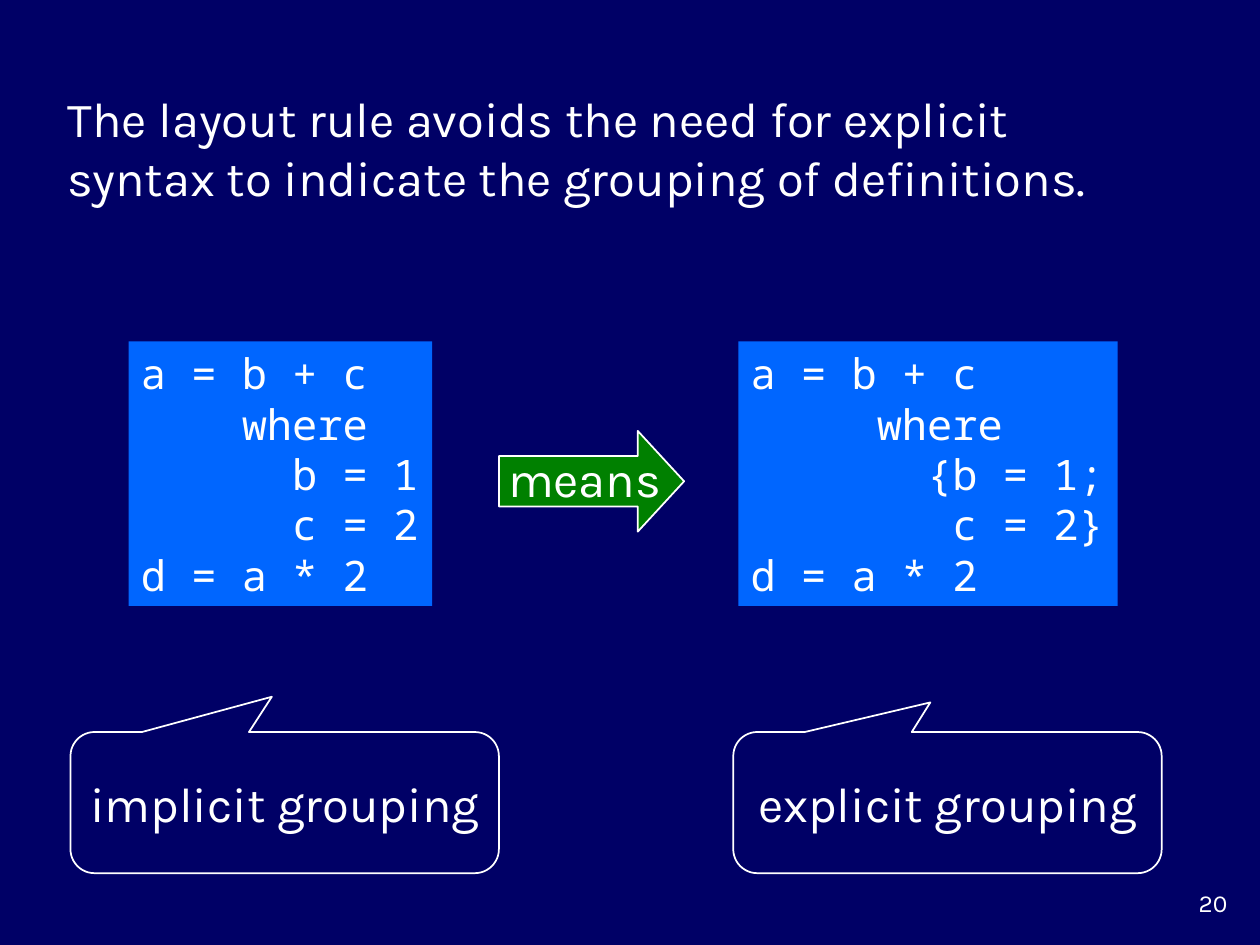
from pptx import Presentation
from pptx import util as u
from pptx.dml.color import RGBColor
from pptx.enum import shapes, text

COLOURS = {
    "background": "000066",
    "code": "0066FF",
    "arrow": "008000",
    "white": "FFFFFF",
}
BODY_FONT = "Karla"
CODE_FONT = "Noto Sans Mono"

# Leading spaces are part of the code: they carry the layout rule
IMPLICIT_CODE = [
    "a = b + c",
    "    where",
    "      b = 1",
    "      c = 2",
    "d = a * 2",
]
EXPLICIT_CODE = [
    "a = b + c",
    "     where",
    "       {b = 1;",
    "        c = 2}",
    "d = a * 2",
]


def colour(name):
    return RGBColor.from_string(COLOURS[name])


def write(box, lines, font=BODY_FONT, size=28, align=text.PP_ALIGN.LEFT,
          anchor=text.MSO_ANCHOR.MIDDLE, wrap=True):
    """Fill a box with one paragraph per line."""
    frame = box.text_frame
    frame.word_wrap = wrap
    frame.vertical_anchor = anchor
    for index, line in enumerate(lines):
        para = frame.add_paragraph() if index else frame.paragraphs[0]
        para.alignment = align
        span = para.add_run()
        span.text = line
        span.font.name = font
        span.font.size = u.Pt(size)
        span.font.color.rgb = colour("white")


def add_label(parent, area, words, **style):
    box = parent.shapes.add_textbox(*map(u.Inches, area))
    write(box, [words], **style)


def add_figure(parent, kind, area, fill=None, line=None, adjustments=()):
    figure = parent.shapes.add_shape(kind, *map(u.Inches, area))
    figure.shadow.inherit = False
    for index, value in enumerate(adjustments):
        figure.adjustments[index] = value
    if fill:
        figure.fill.solid()
        figure.fill.fore_color.rgb = colour(fill)
    else:
        figure.fill.background()
    if line:
        figure.line.color.rgb = colour(line)
        figure.line.width = u.Pt(1)
    else:
        figure.line.fill.background()
    return figure


def add_code(page, left, width, lines):
    box = add_figure(page, shapes.MSO_SHAPE.RECTANGLE,
                     (left, 2.71, width, 2.1), fill="code")
    write(box, lines, font=CODE_FONT, size=24, wrap=False)


def add_callout(page, left, words, tip):
    box = add_figure(page, shapes.MSO_SHAPE.ROUNDED_RECTANGULAR_CALLOUT,
                     (left, 5.81, 3.4, 1.12), line="white",
                     adjustments=(*tip, 0.17))
    write(box, [words], align=text.PP_ALIGN.CENTER)


def add_means_arrow(page):
    group = page.shapes.add_group_shape()
    add_figure(group, shapes.MSO_SHAPE.RIGHT_ARROW, (3.96, 3.42, 1.47, 0.8),
               fill="arrow", line="white", adjustments=(0.5, 0.46))
    add_label(group, (3.93, 3.51, 1.42, 0.57), "means",
              align=text.PP_ALIGN.CENTER, wrap=False)


def main():
    deck = Presentation()
    deck.slide_width, deck.slide_height = u.Inches(10), u.Inches(7.5)
    page = deck.slides.add_slide(deck.slide_layouts[6])
    page.background.fill.solid()
    page.background.fill.fore_color.rgb = colour("background")

    # Arrow between the two versions
    add_means_arrow(page)

    # Statement
    add_label(page, (0.44, 0.65, 8.9, 1.04),
              "The layout rule avoids the need for explicit syntax "
              "to indicate the grouping of definitions.")

    # Code without and with explicit grouping
    add_code(page, 1.02, 2.41, IMPLICIT_CODE)
    add_code(page, 5.86, 3.01, EXPLICIT_CODE)

    # Callouts under the code
    add_callout(page, 0.56, "implicit grouping", (-0.03, -0.75))
    add_callout(page, 5.82, "explicit grouping", (-0.04, -0.71))

    # Page number
    add_label(page, (9.17, 7, 0.67, 0.33), "20", size=14,
              align=text.PP_ALIGN.RIGHT, anchor=text.MSO_ANCHOR.TOP)

    deck.save("out.pptx")


if __name__ == "__main__":
    main()
